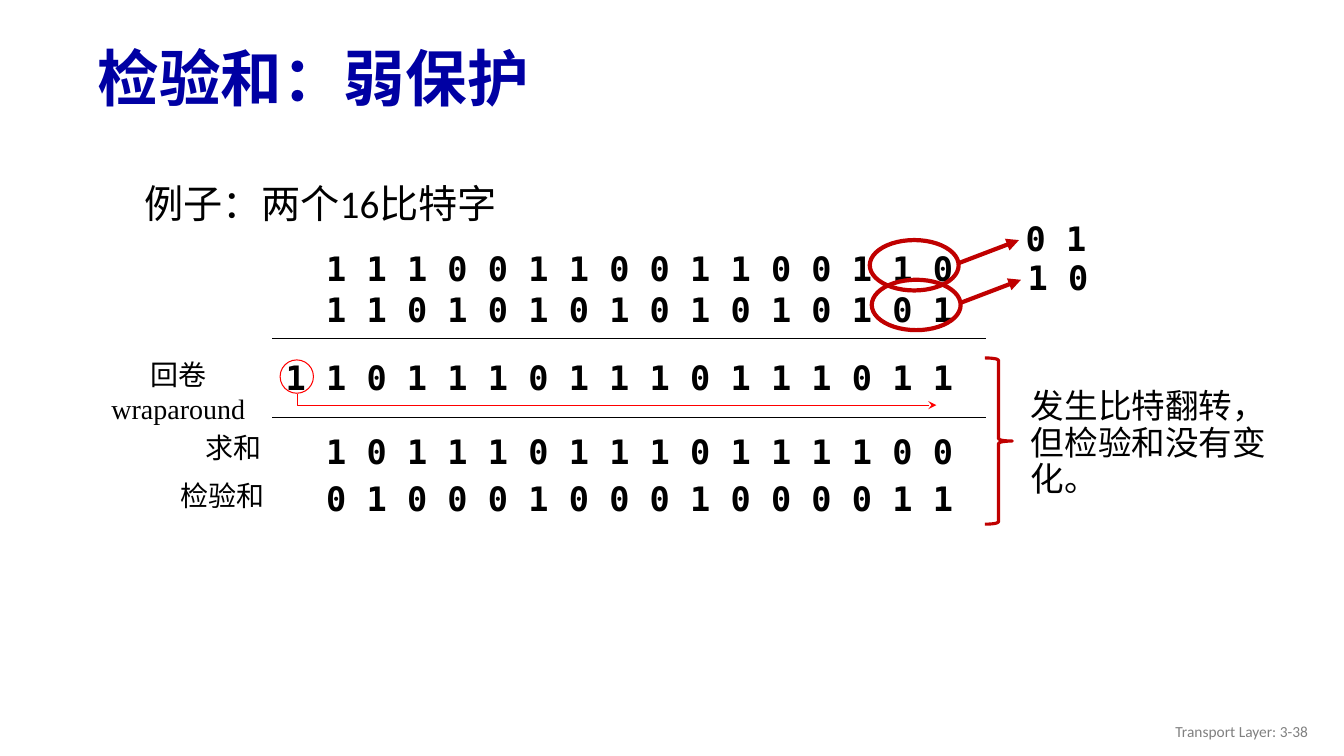
import pptx
import pptx.util
import pptx.dml.color
import pptx.enum.shapes
import pptx.enum.text
import pptx.oxml.ns
import lxml.etree

Cm = pptx.util.Cm
Pt = pptx.util.Pt
SHAPE = pptx.enum.shapes.MSO_SHAPE
ALIGN = pptx.enum.text.PP_ALIGN

COLORS = {"title": "0000A3", "text": "000000", "carry": "FF0000",
          "accent": "C00000", "footer": "808080"}

TITLE = "检验和：弱保护"
EXAMPLE = "例子：两个16比特字"
CONCLUSION = "发生比特翻转，但检验和没有变化。"
FOOTER = "Transport Layer: 3-38"

# Bits, top (cm); every row ends in the same column
BIT_ROWS = [
    ("1110011001100110", 6.12),
    ("1101010101010101", 7.16),
    ("11011101110111011", 8.86),
    ("1011101110111100", 10.74),
    ("0100010001000011", 11.91),
]
# Text, font, alignment, box (cm)
ROW_LABELS = [
    ("回卷\nwraparound", "Times New Roman", ALIGN.CENTER, (2.54, 8.89, 3.91, 1.96)),
    ("求和", "Arial", ALIGN.LEFT, (4.93, 10.72, 1.93, 1.12)),
    ("检验和", "Arial", ALIGN.LEFT, (4.29, 11.94, 2.64, 1.12)),
]
FLIPPED_BITS = ["01", "10"]

WORD_LEFT, WORD_WIDTH, WORD_BITS = 7.97, 16.38, 16
BIT_PITCH = 1.02
BIT_HEIGHT = 1.27
RULE_LEFT, RULE_RIGHT = 6.86, 24.84
RULE_TOPS = [8.53, 10.52]
FLIP_LEFT, FLIP_TOP, FLIP_WIDTH = 21.92, 6.05, 2.24
FLIP_SHIFT = (0.05, 1.0)
CARRY_PATH = [(7.49, 9.93), (7.49, 10.21), (23.6, 10.21)]


def color(name):
    return pptx.dml.color.RGBColor.from_string(COLORS[name])


def add_text(slide, text, box, size, font="Calibri", tone="text", bold=False,
             align=ALIGN.LEFT, middle=False, wrap=True, spacing=None):
    frame = slide.shapes.add_textbox(*map(Cm, box)).text_frame
    frame.word_wrap = wrap
    if middle:
        frame.vertical_anchor = pptx.enum.text.MSO_ANCHOR.MIDDLE
    frame.text = text
    for paragraph in frame.paragraphs:
        paragraph.alignment = align
        if spacing:
            paragraph.line_spacing = spacing
        for run in paragraph.runs:
            run.font.size = Pt(size)
            run.font.name = font
            run.font.bold = bold
            run.font.color.rgb = color(tone)


def add_bits(slide, bits, left, top, width):
    add_text(slide, " ".join(bits), (left, top, width, BIT_HEIGHT), 24,
             font="DejaVu Sans Mono", bold=True, wrap=False)


def style_line(shape, tone, width, arrow=None):
    shape.line.color.rgb = color(tone)
    shape.line.width = Pt(width)
    if arrow:
        tail = lxml.etree.SubElement(shape.line._get_or_add_ln(),
                                     pptx.oxml.ns.qn("a:tailEnd"))
        tail.set("type", arrow)


def add_outline(slide, preset, box, tone, width):
    shape = slide.shapes.add_shape(preset, *map(Cm, box))
    shape.shadow.inherit = False
    shape.fill.background()
    style_line(shape, tone, width)


def add_line(slide, start, end, tone, width, arrow=None):
    line = slide.shapes.add_connector(pptx.enum.shapes.MSO_CONNECTOR.STRAIGHT,
                                      *map(Cm, start + end))
    style_line(line, tone, width, arrow)
    lxml.etree.SubElement(line._element.spPr, pptx.oxml.ns.qn("a:effectLst"))


def add_carry(slide):
    """Circle the overflow bit and lead it round to the lowest bit."""
    add_outline(slide, SHAPE.OVAL, (7.06, 9.07, 0.84, 0.84), "carry", 0.75)
    points = [(Cm(x), Cm(y)) for x, y in CARRY_PATH]
    builder = slide.shapes.build_freeform(*points[0])
    builder.add_line_segments(points[1:], close=False)
    path = builder.convert_to_shape()
    path.shadow.inherit = False
    path.fill.background()
    style_line(path, "carry", 0.75, "stealth")


def add_flip(slide, index, bits):
    """Circle the last two bits of a word and point to their flipped values."""
    left = FLIP_LEFT + index * FLIP_SHIFT[0]
    top = FLIP_TOP + index * FLIP_SHIFT[1]
    right = left + FLIP_WIDTH
    add_outline(slide, SHAPE.OVAL, (left, top, FLIP_WIDTH, 1.27), "accent", 3)
    add_line(slide, (right, top + 0.58), (right + 1.52, top), "accent", 3, "triangle")
    add_bits(slide, bits, right + 1.44, top - 0.69, 2.03)


def main():
    presentation = pptx.Presentation()
    presentation.slide_width = Cm(33.87)
    presentation.slide_height = Cm(19.05)
    slide = presentation.slides.add_slide(presentation.slide_layouts[6])

    add_text(slide, TITLE, (2.21, 0.81, 30.84, 2.49), 44, tone="title",
             bold=True, middle=True, spacing=0.9)
    add_text(slide, EXAMPLE, (3.38, 4.04, 21.59, 7.62), 28, spacing=1.3)
    for top in RULE_TOPS:
        add_line(slide, (RULE_RIGHT, top), (RULE_LEFT, top), "text", 1)
    for bits, top in BIT_ROWS:
        overflow = (len(bits) - WORD_BITS) * BIT_PITCH
        add_bits(slide, bits, WORD_LEFT - overflow, top, WORD_WIDTH + overflow)
    add_carry(slide)
    for index, bits in enumerate(FLIPPED_BITS):
        add_flip(slide, index, bits)
    add_outline(slide, SHAPE.RIGHT_BRACE, (24.82, 9.02, 0.69, 4.19), "accent", 2.25)
    add_text(slide, CONCLUSION, (25.73, 9.7, 6.68, 3.02), 24, spacing=0.9)
    for text, font, align, box in ROW_LABELS:
        add_text(slide, text, box, 20, font=font, align=align, wrap=False)
    add_text(slide, FOOTER, (25.6, 17.91, 7.62, 1.02), 11, tone="footer",
             align=ALIGN.RIGHT, middle=True)

    presentation.save("out.pptx")


if __name__ == "__main__":
    main()
